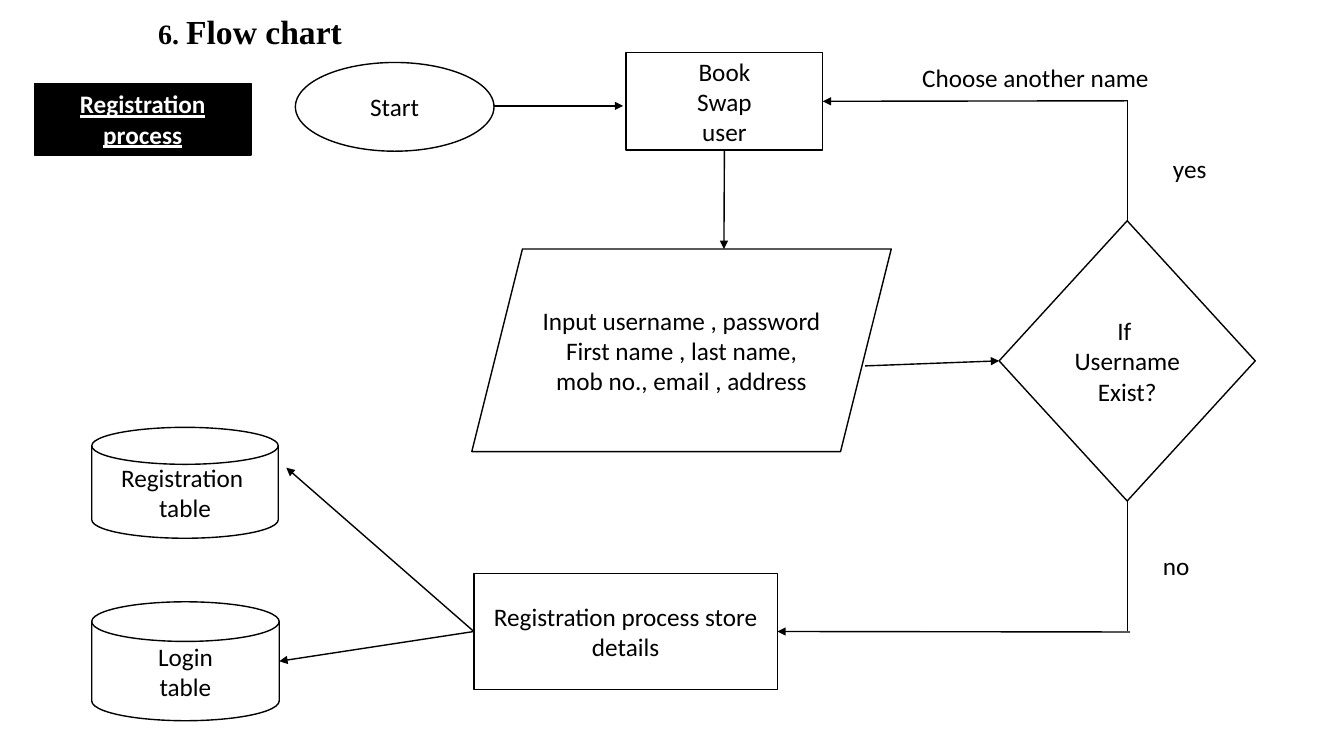
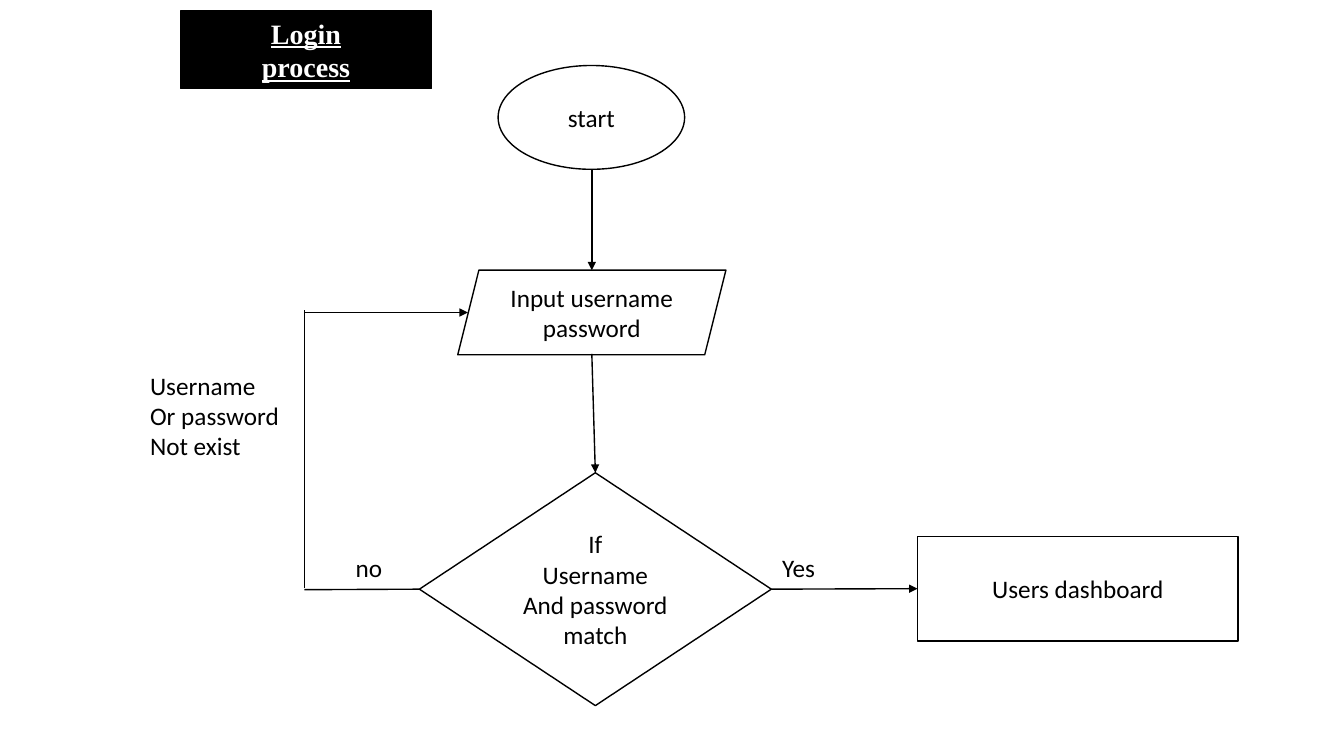
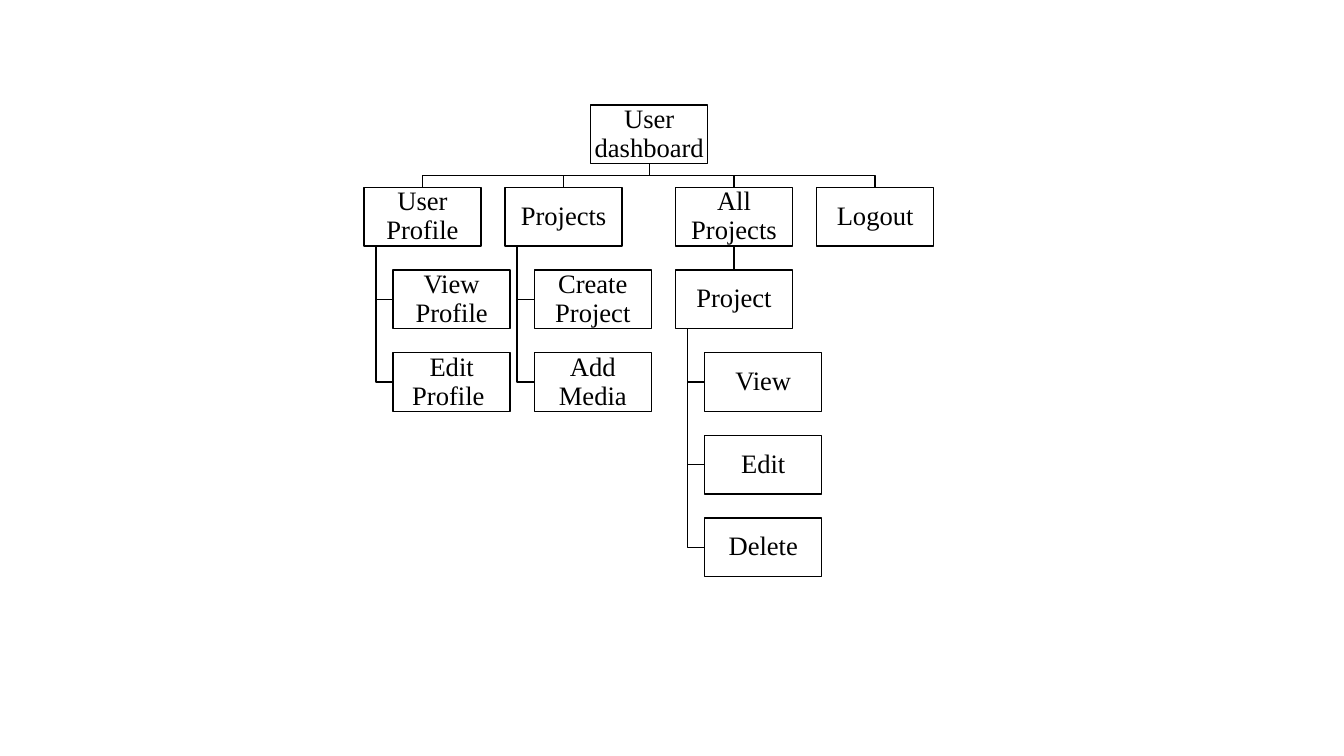
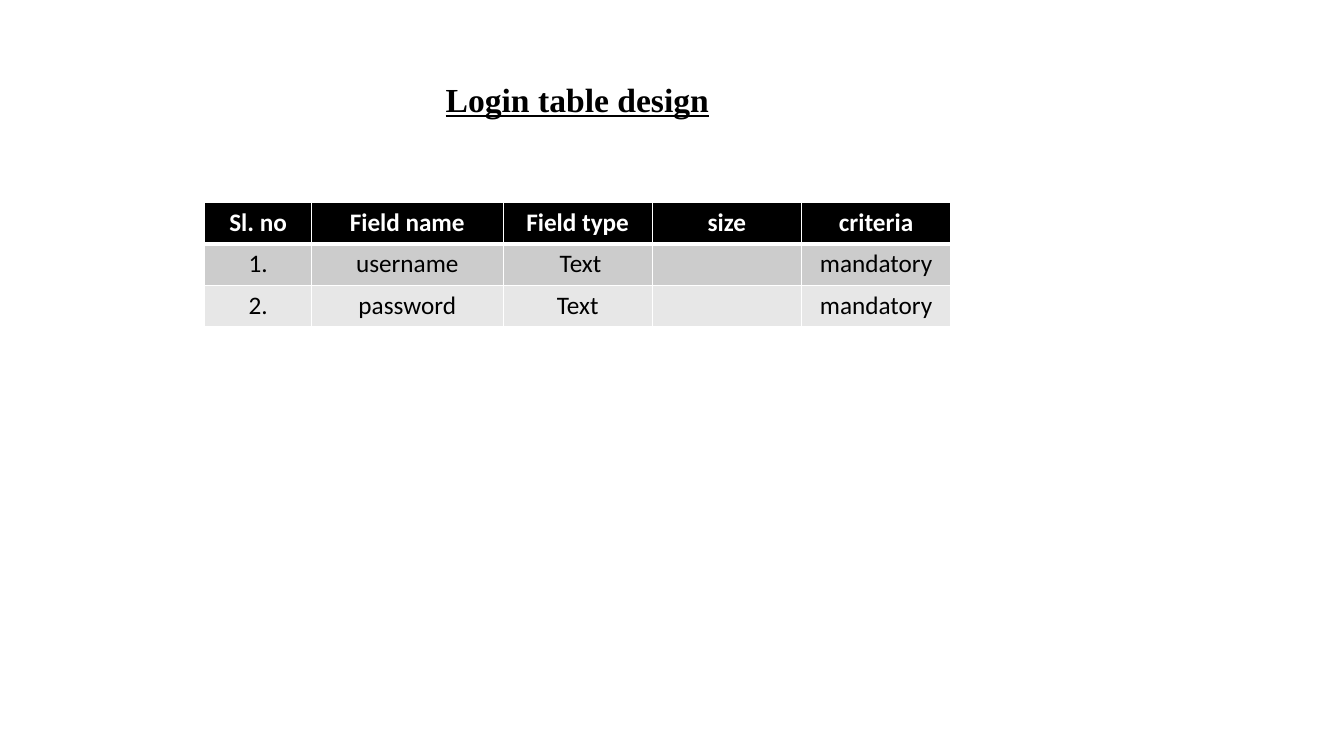
from lxml import etree
from pptx import Presentation
from pptx.dml.color import RGBColor
from pptx.enum.shapes import MSO_CONNECTOR, MSO_SHAPE
from pptx.enum.text import MSO_ANCHOR, MSO_AUTO_SIZE, PP_ALIGN
from pptx.oxml.ns import qn
from pptx.util import Inches, Pt

STRAIGHT = MSO_CONNECTOR.STRAIGHT
OVAL, RECT = MSO_SHAPE.OVAL, MSO_SHAPE.RECTANGLE
DIAMOND, SLANT = MSO_SHAPE.DIAMOND, MSO_SHAPE.PARALLELOGRAM
DISK = MSO_SHAPE.FLOWCHART_MAGNETIC_DISK
TOP, MIDDLE = MSO_ANCHOR.TOP, MSO_ANCHOR.MIDDLE
LEFT, CENTER = PP_ALIGN.LEFT, PP_ALIGN.CENTER
FIXED = MSO_AUTO_SIZE.NONE
SANS, SERIF = "Calibri", "Times New Roman"
BLACK, WHITE = "000000", "FFFFFF"

SIGNUP = {
    "start": (OVAL, (2.93, 0.62, 1.97, 0.88), "Start"),
    "user": (RECT, (6.21, 0.52, 1.95, 0.97), "Book\nSwap\nuser"),
    "check": (DIAMOND, (9.91, 2.19, 2.54, 2.78), "If \nUsername\nExist?"),
    "store": (RECT, (4.7, 5.69, 3.01, 1.15),
              "Registration process store\ndetails"),
    "input": (SLANT, (4.68, 2.47, 4.16, 2.01),
              "Input username , password\nFirst name , last name,\n"
              "mob no., email , address"),
    "login": (DISK, (0.91, 5.97, 1.86, 1.18), "Login\ntable"),
    "table": (DISK, (0.91, 4.24, 1.85, 1.1), "Registration \ntable"),
}
SIGNUP_LINES = [
    ((4.9, 1.05), (6.18, 1.05), True),
    ((11.18, 1), ("user", 3), True),
    ((11.18, 0.99), ("check", 0), False),
    (("check", 2), (11.18, 6.26), False),
    ((11.21, 6.27), ("store", 3), True),
    (("store", 1), (2.84, 4.64), True),
    (("store", 1), (2.77, 6.56), True),
    (("user", 2), (7.18, 2.47), True),
    ((8.58, 3.63), ("check", 1), True),
]
SIGNUP_NOTES = {
    "no": (OVAL, (11.32, 5.34, 0.69, 0.54), "no"),
    "yes": (OVAL, (11.32, 1.51, 0.96, 0.33), "yes"),
    "retry": (RECT, (8.85, 0.58, 2.84, 0.37), "Choose another name"),
}

LOGIN = {
    "start": (OVAL, (4.94, 0.65, 1.85, 1.03), "start"),
    "input": (SLANT, (4.54, 2.68, 2.66, 0.84), "Input username\npassword"),
    "check": (DIAMOND, (4.16, 4.69, 3.49, 2.31),
              "If\nUsername\nAnd password\nmatch"),
    "home": (RECT, (9.1, 5.32, 3.18, 1.04), "Users dashboard"),
}
LOGIN_LINES = [
    ((5.87, 1.68), (5.87, 2.68), True),
    ((5.87, 3.51), ("check", 0), True),
    (("check", 3), ("home", 1), True),
    (("check", 1), (3.02, 5.85), False),
    ((3.02, 5.83), (3.02, 3.08), False),
    ((3.02, 3.1), (4.64, 3.1), True),
]
LOGIN_NOTES = [
    ((1.39, 3.62, 1.51, 1.01), "Username\nOr password\nNot exist"),
    ((3.43, 5.43, 0.73, 0.4), "no"),
    ((7.66, 5.43, 0.73, 0.71), "Yes"),
]

NODE_W, NODE_H, ROW_STEP, GAP, INDENT = 1.16, 0.58, 0.82, 0.12, 0.29
TREE = [
    ("User dashboard", 5.86, 0, None),
    ("User Profile", 3.61, 1, "User dashboard"),
    ("Projects", 5.01, 1, "User dashboard"),
    ("All Projects", 6.7, 1, "User dashboard"),
    ("Logout", 8.1, 1, "User dashboard"),
    ("View Profile", 3.61 + INDENT, 2, "User Profile"),
    ("Edit Profile ", 3.61 + INDENT, 3, "User Profile"),
    ("Create Project", 5.01 + INDENT, 2, "Projects"),
    ("Add Media", 5.01 + INDENT, 3, "Projects"),
    ("Project", 6.7, 2, "All Projects"),
    ("View", 6.7 + INDENT, 3, "Project"),
    ("Edit", 6.7 + INDENT, 4, "Project"),
    ("Delete", 6.7 + INDENT, 5, "Project"),
]

FIELDS = [
    ("Sl. no", "Field name", "Field type", "size", "criteria"),
    ("1.", "username", " Text", "", "mandatory"),
    ("2.", "password", "Text", "", "mandatory"),
]
WIDTHS = (1.06, 1.9, 1.48, 1.48, 1.48)
FILLS = (BLACK, "CCCCCC", "E7E7E7")
EDGES = ("lnL", "lnR", "lnT", "lnB")


def rgb(code):
    return RGBColor.from_string(code)


def box(at):
    return [Inches(n) for n in at]


def style(frame, size=18, face=SANS, color=BLACK, align=CENTER,
          bold=False, under=False):
    for para in frame.paragraphs:
        para.alignment = align
        for run in para.runs:
            font = run.font
            font.size, font.name, font.bold = Pt(size), face, bold
            font.underline = under
            font.color.rgb = rgb(color)


def paint(shape, fill, line):
    shape.fill.solid()
    shape.fill.fore_color.rgb = rgb(fill)
    shape.line.color.rgb = rgb(line)
    shape.line.width = Pt(1)


def add_box(slide, kind, at, text, fill=WHITE, line=BLACK, **look):
    shape = slide.shapes.add_shape(kind, *box(at))
    shape.shadow.inherit = False
    paint(shape, fill, line)
    frame = shape.text_frame
    frame.word_wrap = True
    frame.vertical_anchor = MIDDLE
    frame.text = text
    style(frame, **look)
    return shape


def add_note(slide, at, text):
    frame = slide.shapes.add_textbox(*box(at)).text_frame
    frame.word_wrap = True
    frame.text = text
    style(frame, align=LEFT)


def set_title(slide, at, text, **look):
    title = slide.shapes.title
    title.left, title.top, title.width, title.height = box(at)
    frame = title.text_frame
    frame.auto_size = FIXED
    frame.vertical_anchor = TOP
    frame.text = text
    style(frame, face=SERIF, bold=True, **look)
    return title


def spot(shape, side):
    x = shape.left + shape.width * (0.5, 0, 0.5, 1)[side]
    y = shape.top + shape.height * (0, 0.5, 1, 0.5)[side]
    return int(x), int(y)


def add_line(slide, parts, start, end, arrow):
    ends = [spot(parts[a], b) if a in parts else (Inches(a), Inches(b))
            for a, b in (start, end)]
    line = slide.shapes.add_connector(STRAIGHT, *ends[0], *ends[1])
    for (name, side), join in ((start, line.begin_connect),
                               (end, line.end_connect)):
        if name in parts:
            join(parts[name], side)
    line.line.color.rgb = rgb(BLACK)
    line.line.width = Pt(1)
    if arrow:
        etree.SubElement(line.get_or_add_ln(), qn("a:tailEnd"),
                         type="triangle")
    etree.SubElement(line._element.spPr, qn("a:effectLst"))


def add_flow(slide, steps, lines):
    parts = {name: add_box(slide, *step) for name, step in steps.items()}
    for start, end, arrow in lines:
        add_line(slide, parts, start, end, arrow)


def add_bend(slide, points):
    first, *rest = [tuple(box(point)) for point in points]
    pen = slide.shapes.build_freeform(*first)
    pen.add_line_segments(rest, close=False)
    shape = pen.convert_to_shape()
    shape.shadow.inherit = False
    shape.fill.background()
    shape.line.color.rgb = rgb(BLACK)
    shape.line.width = Pt(1)


def add_tree(slide):
    parts, spots = {}, {}
    for name, x, row, parent in TREE:
        y = 1.04 + row * ROW_STEP
        node = add_box(slide, RECT, (x, y, NODE_W, NODE_H), name,
                       size=19, face=SERIF)
        frame = node.text_frame
        frame.margin_left = frame.margin_right = Inches(0.01)
        frame.margin_top = frame.margin_bottom = Inches(0.01)
        frame.paragraphs[0].line_spacing = 0.9
        parts[name], spots[name] = node, (x, y)
        if not parent:
            continue
        px, py = spots[parent]
        base, mid = py + NODE_H, y + NODE_H / 2
        if px == x:
            add_line(slide, parts, (parent, 2), (name, 0), False)
        elif row == 1:
            a, b = px + NODE_W / 2, x + NODE_W / 2
            add_bend(slide, [(a, base), (a, base + GAP),
                             (b, base + GAP), (b, y)])
        else:
            stem = px + GAP
            add_bend(slide, [(stem, base), (stem, mid), (x, mid)])


def add_edge(cell, place, tag, width):
    edge = etree.Element(qn("a:" + tag), w=str(Pt(width)))
    fill = etree.SubElement(edge, qn("a:solidFill"))
    etree.SubElement(fill, qn("a:srgbClr"), val=WHITE)
    cell._tc.get_or_add_tcPr().insert(place, edge)


def add_fields(slide):
    table = slide.shapes.add_table(
        len(FIELDS), len(WIDTHS),
        *box((2.03, 2.01, sum(WIDTHS), 0.41 * len(FIELDS)))).table
    for col, width in zip(table.columns, WIDTHS):
        col.width = Inches(width)
    for r, row in enumerate(FIELDS):
        head = r == 0
        table.rows[r].height = Inches(0.41)
        for c, text in enumerate(row):
            cell = table.cell(r, c)
            cell.text = text
            style(cell.text_frame, color=WHITE if head else BLACK, bold=head)
            cell.fill.solid()
            cell.fill.fore_color.rgb = rgb(FILLS[r])
            for place, tag in enumerate(EDGES):
                thick = (r, tag) in ((0, "lnB"), (1, "lnT"))
                add_edge(cell, place, tag, 3 if thick else 1)


def main():
    deck = Presentation()
    deck.slide_width, deck.slide_height = Inches(13.33), Inches(7.5)
    titled, blank = deck.slide_layouts[5], deck.slide_layouts[6]

    slide = deck.slides.add_slide(titled)
    title = set_title(slide, (0.98, 0.06, 3, 0.5), "6. ", size=20)
    run = title.text_frame.paragraphs[0].add_run()
    run.text = "Flow chart"
    style(title.text_frame, size=24, face=SERIF, bold=True)
    title.text_frame.paragraphs[0].runs[0].font.size = Pt(20)
    add_flow(slide, SIGNUP, SIGNUP_LINES)
    for note in SIGNUP_NOTES.values():
        add_box(slide, *note, line=WHITE)
    badge = add_box(slide, RECT, (0.34, 0.83, 2.15, 0.71),
                    "Registration\nprocess", fill=BLACK, color=WHITE,
                    bold=True, under=True)
    badge.text_frame.vertical_anchor = TOP

    slide = deck.slides.add_slide(titled)
    title = set_title(slide, (1.79, 0.11, 2.49, 0.77), "Login\nprocess",
                      size=20, color=WHITE, under=True)
    paint(title, BLACK, BLACK)
    add_flow(slide, LOGIN, LOGIN_LINES)
    for at, text in LOGIN_NOTES:
        add_note(slide, at, text)

    add_tree(deck.slides.add_slide(blank))

    slide = deck.slides.add_slide(titled)
    set_title(slide, (4.32, 0.73, 5.3, 0.5), "Login table design",
              size=24, align=LEFT, under=True)
    add_fields(slide)

    deck.save("out.pptx")


if __name__ == "__main__":
    main()
